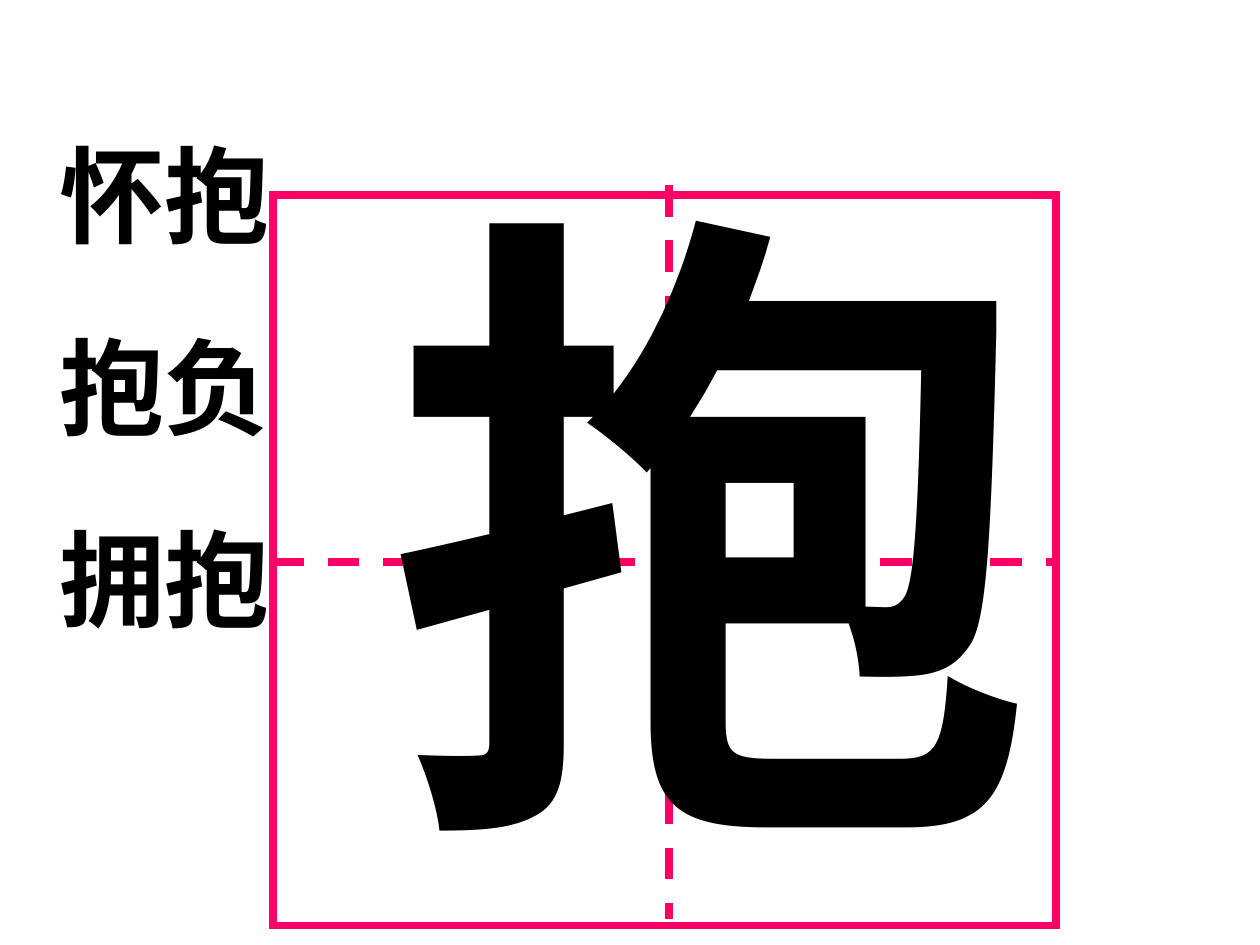
from dataclasses import dataclass

from lxml.etree import SubElement
from pptx import Presentation
from pptx.dml.color import RGBColor
from pptx.enum.dml import MSO_LINE_DASH_STYLE as Dash
from pptx.enum.shapes import MSO_CONNECTOR, MSO_SHAPE
from pptx.enum.text import MSO_AUTO_SIZE as AutoSize, PP_ALIGN as Align
from pptx.oxml.ns import qn
from pptx.util import Pt

PINK = RGBColor(0xFF, 0x00, 0x66)
BLACK = RGBColor(0x00, 0x00, 0x00)
FONT = "Times New Roman"
GRID_WIDTH = 4.5


@dataclass(frozen=True)
class Guide:
    x1: float
    y1: float
    x2: float
    y2: float


@dataclass(frozen=True)
class Writing:
    words: tuple[str, ...]
    left: float
    top: float
    width: float
    height: float
    size: float
    gap: float = 0


FRAME = (155.8, 111.6, 447.8, 417.3)
ACROSS = Guide(155.8, 321.1, 604, 321.1)
DOWN = Guide(382.5, 105.8, 382.5, 524.9)
WRITINGS = (
    Writing(("抱",), 214.6, 68.4, 370.1, 451.4, 370),
    Writing(("怀抱", "抱负", "拥抱"), 20.2, 71.3, 147.6, 627.1, 60, 37.5),
)


def draw_frame(shapes) -> None:
    frame = shapes.add_shape(MSO_SHAPE.RECTANGLE, *map(Pt, FRAME))
    frame.shadow.inherit = False
    frame.fill.background()
    frame.line.color.rgb = PINK
    frame.line.width = Pt(GRID_WIDTH)
    SubElement(frame.line._get_or_add_ln(), qn("a:miter"), lim="800000")


def draw_guide(shapes, guide: Guide) -> None:
    ends = (guide.x1, guide.y1, guide.x2, guide.y2)
    dashes = shapes.add_connector(MSO_CONNECTOR.STRAIGHT, *map(Pt, ends))
    dashes.line.color.rgb = PINK
    dashes.line.width = Pt(GRID_WIDTH)
    dashes.line.dash_style = Dash.DASH
    SubElement(dashes._element.spPr, qn("a:effectLst"))


def write(shapes, writing: Writing) -> None:
    place = (writing.left, writing.top, writing.width, writing.height)
    frame = shapes.add_textbox(*map(Pt, place)).text_frame
    frame.word_wrap = True
    frame.auto_size = AutoSize.SHAPE_TO_FIT_TEXT
    font_format = {"name": FONT, "size": Pt(writing.size), "bold": True}
    for index, word in enumerate(writing.words):
        line = frame.add_paragraph() if index else frame.paragraphs[0]
        line.alignment = Align.CENTER
        if index:
            line.space_before = Pt(writing.gap)
        run = line.add_run()
        run.text = word
        for attribute, value in font_format.items():
            setattr(run.font, attribute, value)
        run.font.color.rgb = BLACK


def main() -> None:
    deck = Presentation()
    deck.slide_width, deck.slide_height = Pt(720), Pt(540)
    shapes = deck.slides.add_slide(deck.slide_layouts[6]).shapes
    grid = shapes.add_group_shape().shapes
    draw_frame(grid)
    draw_guide(grid, ACROSS)
    draw_guide(shapes, DOWN)
    for writing in WRITINGS:
        write(shapes, writing)
    deck.save("out.pptx")


if __name__ == "__main__":
    main()
